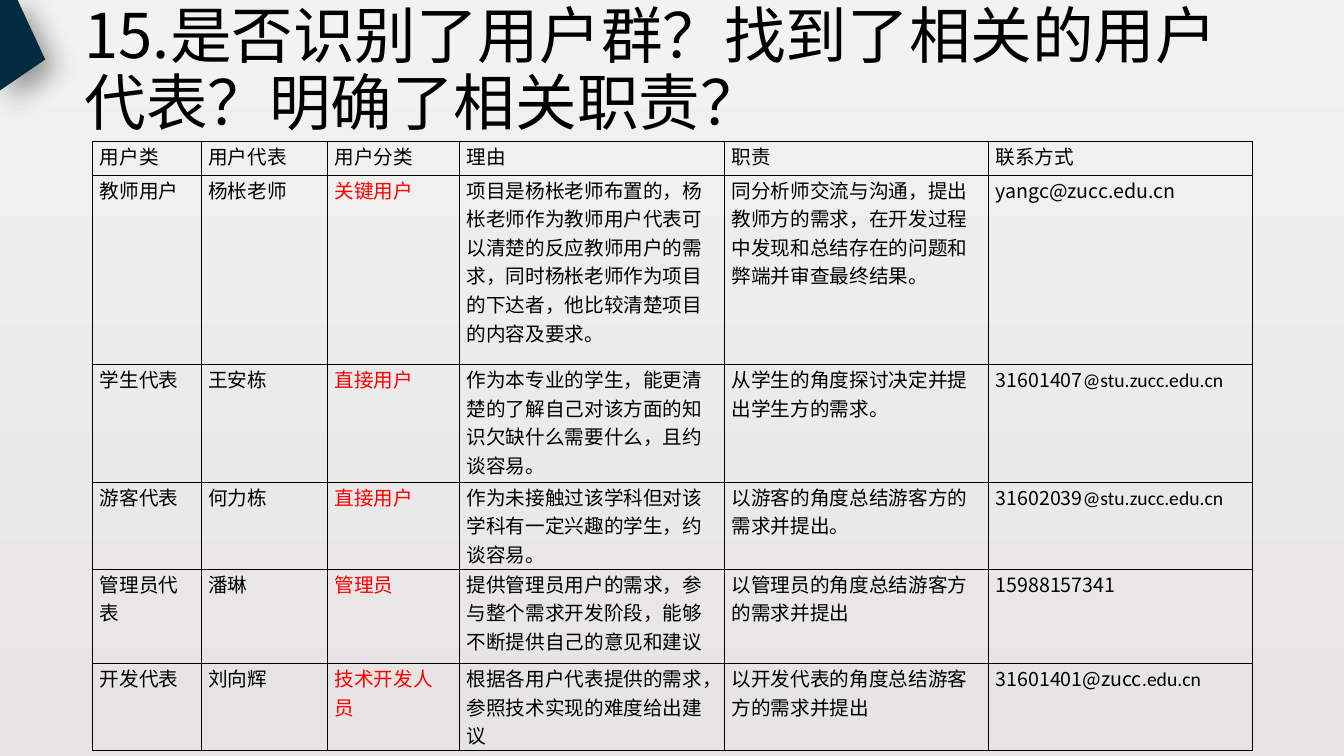
from dataclasses import dataclass

from lxml.etree import SubElement
from pptx import Presentation
from pptx.dml.color import RGBColor as Rgb
from pptx.enum.text import MSO_ANCHOR as Anchor, PP_ALIGN as Align
from pptx.oxml.ns import qn
from pptx.util import Cm, Pt


@dataclass(frozen=True)
class Theme:
    text: str = "000000"
    emphasis: str = "FF0000"
    corner: str = "002B41"
    border: str = "080000"
    background: tuple = ("F2F2F2", "E6E4E4")
    font: str = "Noto Sans CJK SC"
    latin_font: str = "Calibri"
    title_size: int = 44
    table_size: int = 14


THEME = Theme()


def write(paragraph, text, *, size, color=THEME.text, font=THEME.font):
    """Append a formatted run to a paragraph."""
    run = paragraph.add_run()
    run.text = text
    run.font.size = Pt(size)
    run.font.name = font
    run.font.color.rgb = Rgb.from_string(color)
    SubElement(run.font._element, qn("a:ea"), typeface=THEME.font)


def add_color(parent, color):
    return SubElement(parent, qn("a:srgbClr"), val=color)


class SlideBuilder:
    def __init__(self, slide, theme):
        self.slide = slide
        self.theme = theme

    def background(self):
        fill = self.slide.background.fill
        fill.gradient()
        fill.gradient_angle = 270
        for position, (stop, color) in enumerate(zip(fill.gradient_stops, self.theme.background)):
            stop.position = position
            stop.color.rgb = Rgb.from_string(color)

    def title(self, text, left, top, width, height):
        frame = self.slide.shapes.add_textbox(Cm(left), Cm(top), Cm(width), Cm(height)).text_frame
        frame.word_wrap = True
        frame.vertical_anchor = Anchor.MIDDLE
        heading = frame.paragraphs[0]
        heading.alignment = Align.LEFT
        heading.line_spacing = 0.9
        write(heading, text, size=self.theme.title_size)

    def corner(self, points):
        start, *others = [(Cm(x), Cm(y)) for x, y in points]
        outline = self.slide.shapes.build_freeform(*start)
        outline.add_line_segments(others, close=True)
        corner = outline.convert_to_shape()
        corner.fill.solid()
        corner.fill.fore_color.rgb = Rgb.from_string(self.theme.corner)
        corner.line.fill.background()
        # Soft shadow towards the lower right
        corner.shadow.inherit = False
        effects = corner._element.spPr.find(qn("a:effectLst"))
        shadow = SubElement(effects, qn("a:outerShdw"), blurRad=str(Pt(20)), dist=str(Pt(10)),
                            dir=str(45 * 60000), algn="tl", rotWithShape="0")
        SubElement(add_color(shadow, "000000"), qn("a:alpha"), val="40000")

    def table(self, rows, left, top, widths, heights):
        table = self.slide.shapes.add_table(
            len(rows), len(widths), Cm(left), Cm(top), Cm(sum(widths)), Cm(sum(heights))).table
        table.first_row = table.horz_banding = False
        for column, width in zip(table.columns, widths):
            column.width = Cm(width)
        for row, height, texts in zip(table.rows, heights, rows):
            row.height = Cm(height)
            for cell, content in zip(row.cells, texts):
                self.cell(cell, content)

    def cell(self, cell, content):
        cell.margin_left = cell.margin_right = Cm(0.18)
        cell.margin_top = cell.margin_bottom = 0
        for side in ("lnL", "lnR", "lnT", "lnB"):
            border = SubElement(cell._tc.get_or_add_tcPr(), qn(f"a:{side}"), w=str(Pt(1)))
            add_color(SubElement(border, qn("a:solidFill")), self.theme.border)
        cell.fill.background()
        runs = [(content, {})] if isinstance(content, str) else content
        for text, style in runs:
            write(cell.text_frame.paragraphs[0], text, size=self.theme.table_size, **style)


def category(text):
    return [(text, {"color": THEME.emphasis})]


def email(start, end):
    return [(start, {}), (end, {"font": THEME.latin_font})]


USER_GROUPS = [
    ("用户类", "用户代表", "用户分类", "理由", "职责", "联系方式"),
    ("教师用户", "杨枨老师", category("关键用户"),
     "项目是杨枨老师布置的，杨枨老师作为教师用户代表可以清楚的反应教师用户的需求，"
     "同时杨枨老师作为项目的下达者，他比较清楚项目的内容及要求。",
     "同分析师交流与沟通，提出教师方的需求，在开发过程中发现和总结存在的问题和弊端并审查最终结果。",
     "yangc@zucc.edu.cn"),
    ("学生代表", "王安栋", category("直接用户"),
     "作为本专业的学生，能更清楚的了解自己对该方面的知识欠缺什么需要什么，且约谈容易。",
     "从学生的角度探讨决定并提出学生方的需求。",
     email("31601407", "@stu.zucc.edu.cn")),
    ("游客代表", "何力栋", category("直接用户"),
     "作为未接触过该学科但对该学科有一定兴趣的学生，约谈容易。",
     "以游客的角度总结游客方的需求并提出。",
     email("31602039", "@stu.zucc.edu.cn")),
    ("管理员代表", "潘琳", category("管理员"),
     "提供管理员用户的需求，参与整个需求开发阶段，能够不断提供自己的意见和建议",
     "以管理员的角度总结游客方的需求并提出",
     "15988157341"),
    ("开发代表", "刘向辉", category("技术开发人员"),
     "根据各用户代表提供的需求，参照技术实现的难度给出建议",
     "以开发代表的角度总结游客方的需求并提出",
     email("31601401@zucc", ".edu.cn")),
]


def main():
    deck = Presentation()
    deck.slide_width, deck.slide_height = Cm(33.87), Cm(19.05)
    builder = SlideBuilder(deck.slides.add_slide(deck.slide_layouts[6]), THEME)

    # Backdrop and corner ornament
    builder.background()
    builder.corner([(0.43, -0.03), (0, -0.03), (0, 2.28), (1.14, 1.5)])

    # Heading
    builder.title("15.是否识别了用户群？找到了相关的用户代表？明确了相关职责？",
                  1.88, -0.03, 29.21, 3.68)

    # User groups and their representatives
    builder.table(USER_GROUPS, 2.34, 3.57,
                  widths=(2.73, 3.18, 3.33, 6.68, 6.65, 6.65),
                  heights=(0.85, 4.77, 2.97, 2.19, 2.38, 2.19))

    deck.save("out.pptx")


if __name__ == "__main__":
    main()
